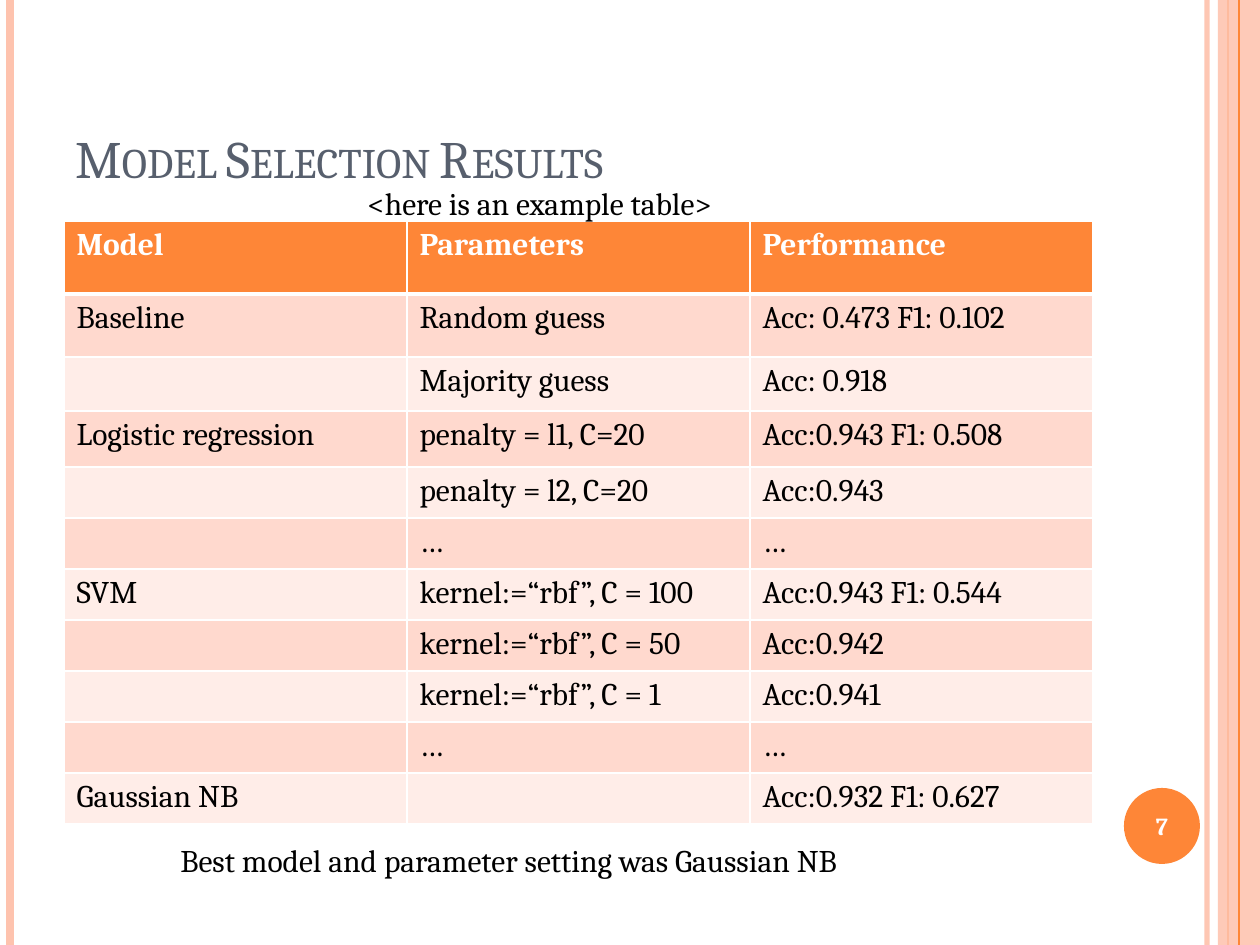
from lxml import etree
from pptx import Presentation, util as u
from pptx.dml.color import RGBColor
from pptx.enum import shapes, text
from pptx.oxml.ns import qn

SCALE = 914400 // 126
FONT = "Cambria"
ORANGE, PEACH, WHITE, BLACK, SLATE = "FE8637", "FEC3AE", "FFFFFF", "000000", "575F6D"
BANDS = ["FFD9CE", "FFEDE8"]
ROW_HEIGHTS = [73, 63, 54, 56] + [51] * 7
RESULTS = [
    ("Model", "Parameters", "Performance"),
    ("Baseline", "Random guess", "Acc: 0.473 F1: 0.102"),
    ("", "Majority guess", "Acc: 0.918"),
    ("Logistic regression", "penalty = l1, C=20", "Acc:0.943 F1: 0.508"),
    ("", "penalty = l2, C=20", "Acc:0.943"),
    ("", "…", "…"),
    ("SVM", "kernel:=“rbf”, C = 100", "Acc:0.943 F1: 0.544"),
    ("", "kernel:=“rbf”, C = 50", "Acc:0.942"),
    ("", "kernel:=“rbf”, C = 1", "Acc:0.941"),
    ("", "…", "…"),
    ("Gaussian NB", "", "Acc:0.932 F1: 0.627"),
]


def px(*values):
    return [u.Emu(value * SCALE) for value in values]


def rgb(color):
    return RGBColor.from_string(color)


def set_fill(target, color):
    target.fill.solid()
    target.fill.fore_color.rgb = rgb(color)


def set_opacity(shape, percent):
    color = next(shape._element.spPr.iter(qn("a:srgbClr")))
    etree.SubElement(color, qn("a:alpha"), val=str(percent * 1000))


def style(para, size, color, bold=False):
    para.font.name = FONT
    para.font.size = u.Pt(size)
    para.font.bold = bold
    para.font.color.rgb = rgb(color)


def add_rule(page, x, color, width):
    rule = page.shapes.add_connector(shapes.MSO_CONNECTOR.STRAIGHT, *px(x, 0, x, 945))
    rule.line.color.rgb = rgb(color)
    rule.line.width = u.Pt(width)
    etree.SubElement(rule._element.spPr, qn("a:effectLst"))
    return rule


def add_block(page, kind, bounds, color):
    block = page.shapes.add_shape(kind, *px(*bounds))
    block.shadow.inherit = False
    set_fill(block, color)
    block.line.fill.background()
    return block


def add_text(page, bounds, words, size, color, bold=False,
             anchor=text.MSO_ANCHOR.TOP, align=text.PP_ALIGN.LEFT):
    box = page.shapes.add_textbox(*px(*bounds))
    frame = box.text_frame
    frame.word_wrap = True
    frame.vertical_anchor = anchor
    para = frame.paragraphs[0]
    para.text = words
    para.alignment = align
    style(para, size, color, bold)
    return para


def set_borders(cell, bottom):
    properties = cell._tc.get_or_add_tcPr()
    for index, (side, width) in enumerate([("L", 1), ("R", 1), ("T", 1), ("B", bottom)]):
        line = etree.Element(qn(f"a:ln{side}"), w=str(u.Pt(width)))
        fill = etree.SubElement(line, qn("a:solidFill"))
        etree.SubElement(fill, qn("a:srgbClr"), val=WHITE)
        properties.insert(index, line)


def add_results(page):
    table = page.shapes.add_table(len(RESULTS), 3, *px(64, 221, 1029, sum(ROW_HEIGHTS))).table
    for column in table.columns:
        column.width = px(343)[0]
    for index, (height, values) in enumerate(zip(ROW_HEIGHTS, RESULTS)):
        header = index == 0
        table.rows[index].height = px(height)[0]
        for cell, value in zip(table.rows[index].cells, values):
            cell.text = value
            style(cell.text_frame.paragraphs[0], 18, WHITE if header else BLACK, header)
            set_fill(cell, ORANGE if header else BANDS[(index - 1) % 2])
            set_borders(cell, 3 if header else 1)


def add_frame(page):
    set_opacity(add_rule(page, 1207, PEACH, 3), 93)
    add_rule(page, 10, PEACH, 4.5)
    add_rule(page, 1228, ORANGE, 1.5)
    band = add_block(page, shapes.MSO_SHAPE.RECTANGLE, (1218, 0, 42, 945), PEACH)
    set_opacity(band, 87)
    add_rule(page, 1239, ORANGE, 0.75)
    add_block(page, shapes.MSO_SHAPE.OVAL, (1124, 788, 76, 76), ORANGE)


def main():
    deck = Presentation()
    deck.slide_width, deck.slide_height = px(1260, 945)
    page = deck.slides.add_slide(deck.slide_layouts[6])
    add_frame(page)
    title = add_text(page, (63, 38, 1029, 157), "Model Selection Results", 30, SLATE,
                     anchor=text.MSO_ANCHOR.BOTTOM)
    title.runs[0]._r.get_or_add_rPr().set("cap", "small")
    add_results(page)
    add_text(page, (1120, 790, 84, 72), "7", 14, WHITE, True,
             text.MSO_ANCHOR.MIDDLE, text.PP_ALIGN.CENTER)
    add_text(page, (168, 835, 798, 50), "Best model and parameter setting was Gaussian NB", 18, BLACK)
    add_text(page, (355, 178, 423, 50), "<here is an example table>", 18, BLACK)
    deck.save("out.pptx")


main()
